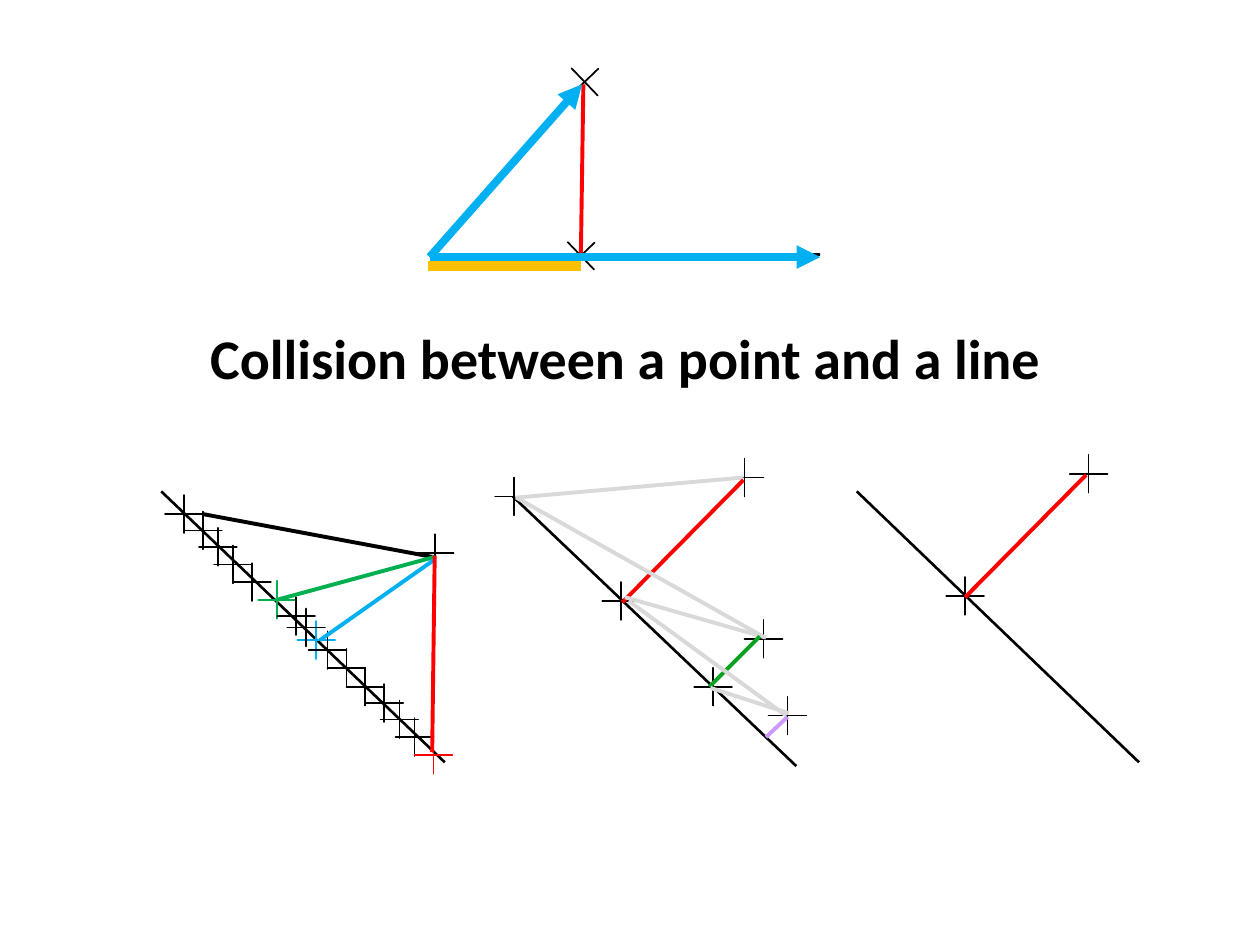
from lxml.etree import SubElement
from pptx import Presentation
from pptx.dml.color import RGBColor
from pptx.enum.shapes import MSO_CONNECTOR, MSO_SHAPE
from pptx.enum.text import MSO_AUTO_SIZE
from pptx.oxml.ns import qn
from pptx.util import Inches, Pt

BLACK, RED, GREEN, BLUE = "000000", "FF0000", "00B050", "00B0F0"
GRAY, DARK_GREEN, PURPLE, ORANGE = "D9D9D9", "0CA221", "CC99FF", "FFC000"
MARKER_FILL = "5B9BD5"
MARKER_SIZE = 0.3


def rgb(hex_color):
    return RGBColor.from_string(hex_color)


def add_text(slide, text, left, top, width, height, *, size, bold=False,
             color=BLACK, font="Calibri"):
    box = slide.shapes.add_textbox(*map(Inches, (left, top, width, height)))
    frame = box.text_frame
    frame.word_wrap = False
    frame.auto_size = MSO_AUTO_SIZE.SHAPE_TO_FIT_TEXT
    run = frame.paragraphs[0].add_run()
    run.text = text
    run.font.name = font
    run.font.size = Pt(size)
    run.font.bold = bold
    run.font.color.rgb = rgb(color)


def add_line(slide, start, end, color=BLACK, width=2.25, arrow=False):
    line = slide.shapes.add_connector(
        MSO_CONNECTOR.STRAIGHT, *map(Inches, (*start, *end)))
    line.line.color.rgb = rgb(color)
    line.line.width = Pt(width)
    properties = line._element.spPr
    if arrow:
        SubElement(properties.find(qn("a:ln")), qn("a:tailEnd"), type="triangle")
    SubElement(properties, qn("a:effectLst"))


def add_marker(slide, left, top, color=BLACK, rotation=0):
    """Thin cross that marks a point; its arms meet in the centre."""
    marker = slide.shapes.add_shape(
        MSO_SHAPE.CROSS, *map(Inches, (left, top, MARKER_SIZE, MARKER_SIZE)))
    marker.adjustments[0] = 0.5
    marker.rotation = rotation
    marker.shadow.inherit = False
    marker.fill.solid()
    marker.fill.fore_color.rgb = rgb(MARKER_FILL)
    marker.line.color.rgb = rgb(color)
    marker.line.width = Pt(1)


def draw_sampling(slide):
    """Distances from the point to samples all along the line."""
    add_line(slide, (1.28, 3.9), (3.53, 6.05), width=1.5)
    add_marker(slide, 3.3, 4.24)
    samples = [
        (1.31, 3.93), (1.46, 4.06), (1.58, 4.19), (1.7, 4.33), (1.85, 4.47),
        (2.75, 5.3), (2.9, 5.43), (3.02, 5.56), (3.14, 5.7), (3.29, 5.84, RED),
        (2.05, 4.61, GREEN), (2.2, 4.74), (2.36, 4.93, BLUE), (2.45, 5.01),
        (2.6, 5.15), (2.28, 4.83),
    ]
    for sample in samples:
        add_marker(slide, *sample)
    add_line(slide, (3.43, 4.42), (1.61, 4.08))
    add_line(slide, (2.2, 4.76), (3.45, 4.42), GREEN)
    add_line(slide, (2.54, 5.08), (3.45, 4.44), BLUE)
    add_line(slide, (3.43, 5.97), (3.45, 4.41), RED)


def draw_iteration(slide):
    """Successive projections that close in on the line."""
    add_line(slide, (4.07, 3.94), (6.32, 6.08), width=1.5)
    for left, top in [(5.76, 3.64), (3.93, 3.79), (4.78, 4.62),
                      (5.91, 4.92), (5.51, 5.3), (6.1, 5.53)]:
        add_marker(slide, left, top)
    steps = [
        ((5.9, 3.79), (4.09, 3.95), GRAY),
        ((5.9, 3.81), (4.94, 4.78), RED),
        ((6.07, 5.06), (4.1, 3.95), GRAY),
        ((6.08, 5.06), (4.96, 4.74), GRAY),
        ((5.63, 5.45), (6.03, 5.05), DARK_GREEN),
        ((6.08, 5.85), (6.25, 5.69), PURPLE),
        ((6.24, 5.68), (4.99, 4.77), GRAY),
        ((5.64, 5.46), (6.26, 5.66), GRAY),
    ]
    for start, end, color in steps:
        add_line(slide, start, end, color)


def draw_perpendicular(slide):
    add_line(slide, (6.8, 3.9), (9.04, 6.05), width=1.5)
    add_marker(slide, 8.49, 3.61)
    add_marker(slide, 7.51, 4.58)
    add_line(slide, (8.62, 3.77), (7.66, 4.74), RED)


def draw_vector_projection(slide):
    origin = (3.41, 2.04)
    add_line(slide, (3.41, 2.03), (6.51, 2.02), width=1.5)
    add_marker(slide, 4.49, 0.5, rotation=316.2)
    add_marker(slide, 4.46, 1.88, rotation=316.2)
    add_line(slide, (4.63, 0.67), (4.61, 2.04), RED)
    for tip in [(6.51, 2.04), (4.62, 0.67)]:
        add_line(slide, origin, tip, BLUE, width=4.5, arrow=True)
    add_line(slide, (3.4, 2.11), (4.61, 2.11), ORANGE, width=6)


def main():
    presentation = Presentation()
    presentation.slide_width = Inches(10)
    presentation.slide_height = Inches(7.5)
    slide = presentation.slides.add_slide(presentation.slide_layouts[6])
    add_text(slide, "Collision between a point and a line",
             1.57, 2.52, 6.85, 0.64, size=32, bold=True)
    draw_sampling(slide)
    draw_iteration(slide)
    draw_perpendicular(slide)
    draw_vector_projection(slide)
    presentation.save("out.pptx")


if __name__ == "__main__":
    main()
